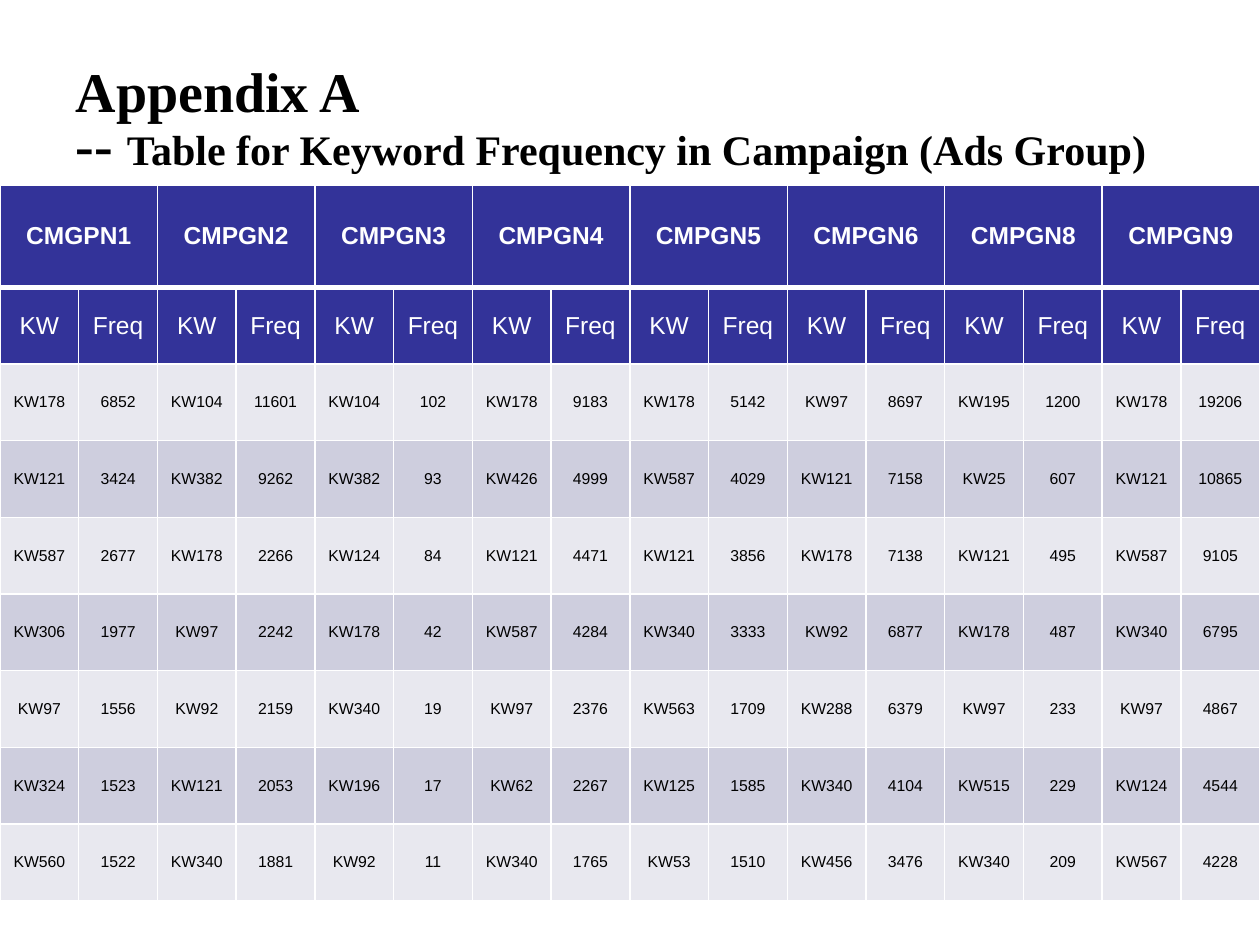
from lxml.etree import SubElement
from pptx import Presentation
from pptx.dml.color import RGBColor
from pptx.enum.text import MSO_ANCHOR, MSO_AUTO_SIZE, PP_ALIGN
from pptx.oxml.ns import qn
from pptx.util import Inches, Pt

NAVY = RGBColor(0x33, 0x33, 0x99)
PALE = RGBColor(0xE8, 0xE8, 0xEF)
LILAC = RGBColor(0xCE, 0xCE, 0xDE)
WHITE = RGBColor(0xFF, 0xFF, 0xFF)
BLACK = RGBColor(0x00, 0x00, 0x00)

GROUPS = "CMGPN1 CMPGN2 CMPGN3 CMPGN4 CMPGN5 CMPGN6 CMPGN8 CMPGN9".split()
COUNTS = [row.split() for row in (
    "KW178 6852 KW104 11601 KW104 102 KW178 9183 KW178 5142 KW97 8697 KW195 1200 KW178 19206",
    "KW121 3424 KW382 9262 KW382 93 KW426 4999 KW587 4029 KW121 7158 KW25 607 KW121 10865",
    "KW587 2677 KW178 2266 KW124 84 KW121 4471 KW121 3856 KW178 7138 KW121 495 KW587 9105",
    "KW306 1977 KW97 2242 KW178 42 KW587 4284 KW340 3333 KW92 6877 KW178 487 KW340 6795",
    "KW97 1556 KW92 2159 KW340 19 KW97 2376 KW563 1709 KW288 6379 KW97 233 KW97 4867",
    "KW324 1523 KW121 2053 KW196 17 KW62 2267 KW125 1585 KW340 4104 KW515 229 KW124 4544",
    "KW560 1522 KW340 1881 KW92 11 KW340 1765 KW53 1510 KW456 3476 KW340 209 KW567 4228",
)]


class Deck:
    serif = "Times New Roman"
    sans = "Arial"

    def __init__(self, prs):
        self.slide = prs.slides.add_slide(prs.slide_layouts[5])

    def style(self, run, face, size, color, bold):
        font = run.font
        font.name, font.size, font.bold = face, Pt(size), bold
        font.color.rgb = color

    def title(self, lines):
        shape = self.slide.shapes.title
        shape.left, shape.top = Inches(0.5), Inches(0.49)
        shape.width, shape.height = Inches(9), Inches(0.97)
        frame = shape.text_frame
        frame.text = "\n".join("".join(text for text, size in line) for line in lines)
        frame.word_wrap = True
        frame.auto_size = MSO_AUTO_SIZE.SHAPE_TO_FIT_TEXT
        frame.vertical_anchor = MSO_ANCHOR.MIDDLE
        for para, line in zip(frame.paragraphs, lines):
            para.alignment = PP_ALIGN.LEFT
            para.line_spacing = 0.8
            para.text = ""
            for text, size in line:
                run = para.add_run()
                run.text = text
                self.style(run, self.serif, size, BLACK, True)

    def border(self, cell, top, base):
        props = cell._tc.get_or_add_tcPr()
        for side, width in (("L", 1), ("R", 1), ("T", top), ("B", base)):
            line = SubElement(props, qn(f"a:ln{side}"), w=str(Pt(width)))
            fill = SubElement(line, qn("a:solidFill"))
            SubElement(fill, qn("a:srgbClr"), val=str(WHITE))

    def cell(self, cell, text, fill, color, size, bold):
        cell.fill.solid()
        cell.fill.fore_color.rgb = fill
        cell.vertical_anchor = MSO_ANCHOR.MIDDLE
        cell.margin_left = cell.margin_right = Inches(0.05)
        cell.text_frame.text = text
        para = cell.text_frame.paragraphs[0]
        para.alignment = PP_ALIGN.CENTER
        for run in para.runs:
            self.style(run, self.sans, size, color, bold)

    def table(self, groups, counts):
        heads = [text for group in groups for text in (group, "")]
        rows = [heads, ["KW", "Freq"] * len(groups)] + counts
        frame = self.slide.shapes.add_table(
            len(rows), len(heads), Inches(0), Inches(1.47), Inches(10), Inches(5.68))
        table = frame.table
        for col in table.columns:
            col.width = Inches(10 / len(heads))
        for r, row in enumerate(rows):
            table.rows[r].height = Inches(0.81 if r == 0 else 4.87 / (len(rows) - 1))
            if r < 2:
                look = NAVY, WHITE, 14, r == 0
            else:
                look = (LILAC if r % 2 else PALE), BLACK, 9, False
            for c, text in enumerate(row):
                cell = table.cell(r, c)
                self.border(cell, 3 if r == 1 else 1, 3 if r == 0 else 1)
                self.cell(cell, text, *look)
        for c in range(0, len(heads), 2):
            table.cell(0, c).merge(table.cell(0, c + 1))


def main():
    prs = Presentation()
    prs.slide_width, prs.slide_height = Inches(10), Inches(7.5)
    deck = Deck(prs)
    deck.title([
        [("Appendix A", 32)],
        [("-- ", 32), ("Table for Keyword Frequency in Campaign (Ads Group)", 24)],
    ])
    deck.table(GROUPS, COUNTS)
    prs.save("out.pptx")


if __name__ == "__main__":
    main()
